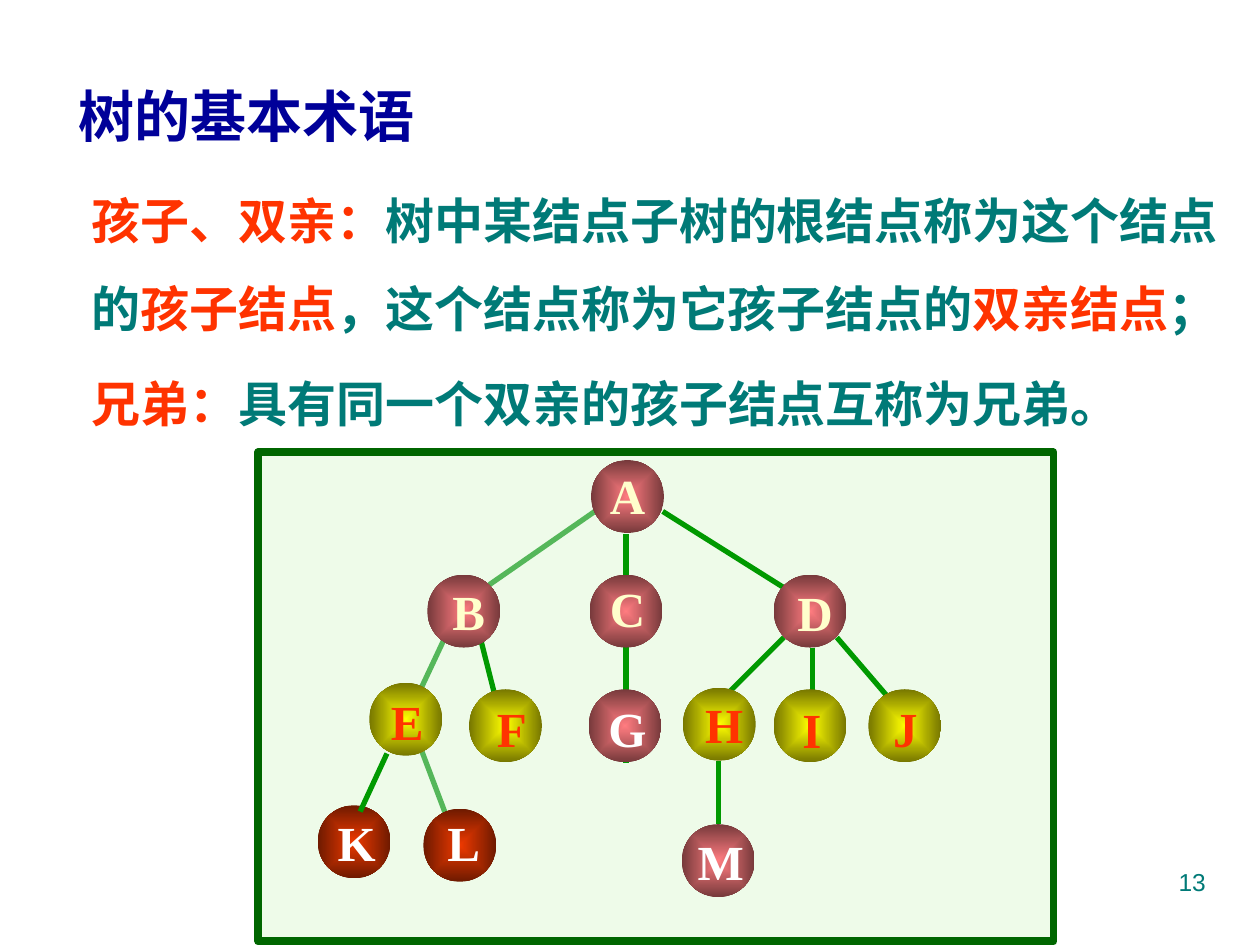
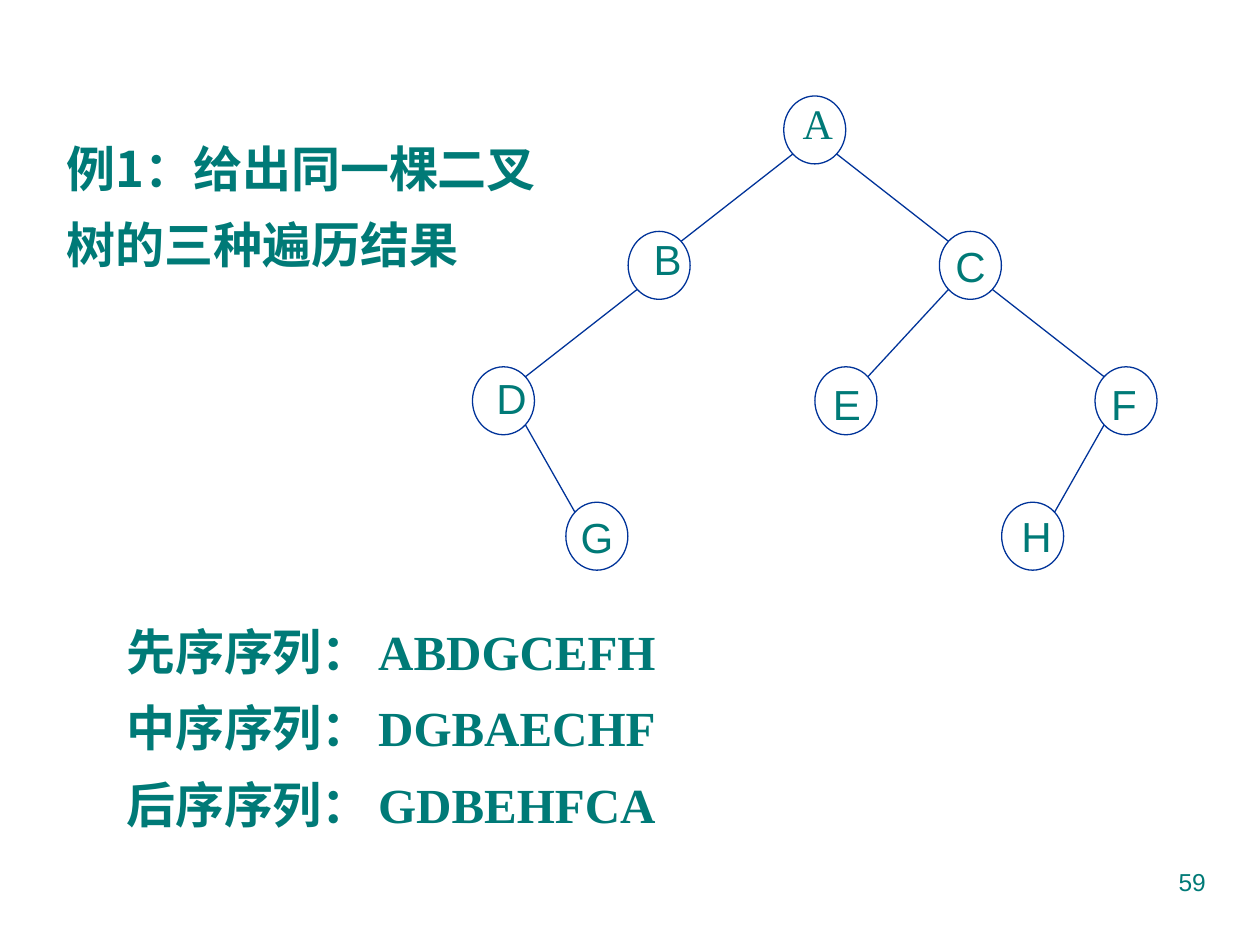
from dataclasses import dataclass
from math import sqrt
from typing import NamedTuple, Optional

import pptx
import pptx.dml.color
import pptx.enum.shapes
import pptx.enum.text
import pptx.oxml.ns
import pptx.util
from lxml import etree
from pptx.dml.color import RGBColor
from pptx.util import Cm

TEAL = RGBColor(0x00, 0x7A, 0x77)
RED = RGBColor(0xFF, 0x33, 0x00)
NAVY = RGBColor(0x00, 0x00, 0x99)
BLUE = RGBColor(0x00, 0x33, 0x99)
WHITE = RGBColor(0xFF, 0xFF, 0xFF)
CREAM = RGBColor(0xFF, 0xFF, 0xCC)
MINT = RGBColor(0xEE, 0xFB, 0xE9)
DARK_GREEN = RGBColor(0x00, 0x66, 0x00)
GREEN = RGBColor(0x00, 0x99, 0x00)
LIGHT_GREEN = RGBColor(0x55, 0xB7, 0x5A)
PINK = (RGBColor(0xFF, 0x7C, 0x80), RGBColor(0x76, 0x39, 0x3B))
YELLOW = (RGBColor(0xFF, 0xFF, 0x00), RGBColor(0x76, 0x76, 0x00))
RUST = (RGBColor(0xEE, 0x39, 0x00), RGBColor(0x6E, 0x1A, 0x00))

SANS = "Arial"
SERIF = "Times New Roman"
CHINESE = "Noto Sans CJK SC"

ALIGN = pptx.enum.text.PP_ALIGN
ANCHOR = pptx.enum.text.MSO_ANCHOR
SHAPE = pptx.enum.shapes.MSO_SHAPE


class Area(NamedTuple):
    left: float
    top: float
    width: float
    height: float

    def lengths(self) -> list:
        return [Cm(value) for value in self]


class Span(NamedTuple):
    text: str
    color: RGBColor = TEAL
    font: str = CHINESE


class Edge(NamedTuple):
    x1: float
    y1: float
    x2: float
    y2: float
    color: RGBColor = GREEN
    weight: float = 3


@dataclass(frozen=True)
class NodeStyle:
    width: float
    height: float
    size: int
    color: RGBColor
    font: str
    bold: bool = False
    gradient: Optional[tuple] = None


@dataclass(frozen=True)
class Node:
    name: str
    x: float
    y: float
    style: NodeStyle
    label_dx: float = 0
    label_dy: float = 0


def ball(gradient: tuple, color: RGBColor) -> NodeStyle:
    return NodeStyle(1.47, 1.47, 28, color, SERIF, True, gradient)


INNER = ball(PINK, CREAM)
PLAIN = ball(PINK, WHITE)
LEAF = ball(YELLOW, RED)
DEEP = ball(RUST, WHITE)
RING = NodeStyle(1.25, 1.37, 24, TEAL, SANS)
ROOT_RING = NodeStyle(1.25, 1.37, 24, TEAL, SERIF)

TERM_NODES = [
    Node("A", 12.65, 10.01, INNER, 0, -0.04),
    Node("B", 9.35, 12.32, INNER, 0.1, 0),
    Node("C", 12.62, 12.32, INNER, 0.03, -0.06),
    Node("D", 16.33, 12.32, INNER, 0.1, 0.01),
    Node("E", 8.18, 14.5, LEAF, 0.03, 0.04),
    Node("F", 10.19, 14.63, LEAF, 0.13, 0.04),
    Node("G", 12.6, 14.63, PLAIN, 0.05, 0.04),
    Node("H", 14.5, 14.6, LEAF, 0.1, 0),
    Node("I", 16.33, 14.63, LEAF, 0.04, 0.06),
    Node("J", 18.24, 14.63, LEAF, 0.01, 0.04),
    Node("K", 7.14, 16.97, DEEP, 0.05, 0),
    Node("L", 9.27, 17.04, DEEP, 0.08, -0.06),
    Node("M", 14.48, 17.35, PLAIN, 0.05, 0),
]
TERM_EDGES = [
    Edge(16.87, 12.85, 18.14, 14.33),
    Edge(15.8, 12.85, 14.53, 14.12),
    Edge(16.38, 13.06, 16.38, 14.12),
    Edge(14.48, 15.34, 14.48, 16.61),
    Edge(13.36, 10.31, 16.03, 11.99),
    Edge(11.99, 10.31, 9.86, 11.79, LIGHT_GREEN),
    Edge(12.62, 10.77, 12.62, 15.39),
    Edge(9.68, 12.85, 10.06, 14.35),
    Edge(8.51, 15.16, 8.99, 16.43, LIGHT_GREEN),
    Edge(8.97, 12.85, 8.43, 14.0, LIGHT_GREEN),
]
FRONT_EDGE = Edge(7.8, 15.19, 7.26, 16.36)


def grid_node(name: str, column: int, row: int, dx: float = 0, dy: float = 0,
              style: NodeStyle = RING) -> Node:
    return Node(name, 10.15 + column * 12.55 / 20, 2.62 + row * 2.73, style, dx, dy)


BINARY_NODES = [
    grid_node("A", 10, 0, 0.06, -0.15, ROOT_RING),
    grid_node("B", 5, 1, 0.17, -0.14),
    grid_node("C", 15, 1),
    grid_node("D", 0, 2, 0.16, -0.07),
    grid_node("E", 11, 2, 0.02, 0.05),
    grid_node("F", 20, 2, -0.04, 0.05),
    grid_node("G", 3, 3),
    grid_node("H", 17, 3, 0.08, -0.02),
]
BINARY_LINKS = ["AB", "AC", "BD", "CE", "CF", "DG", "FH"]


def format_span(span, size: float, color: RGBColor, font: str, bold: bool) -> None:
    span.font.size = pptx.util.Pt(size)
    span.font.bold = bold
    span.font.name = font
    span.font.color.rgb = color
    latin = span.font._element.find(pptx.oxml.ns.qn("a:latin"))
    east_asian = etree.Element(pptx.oxml.ns.qn("a:ea"), typeface=CHINESE)
    latin.addnext(east_asian)


def fill_placeholder(box, area: Area, lines: list[list[Span]], size: float,
                     line_spacing: float = 1, gap: float = 0,
                     tab: Optional[float] = None) -> None:
    box.left, box.top, box.width, box.height = area.lengths()
    frame = box.text_frame
    frame.word_wrap = True
    frame.auto_size = pptx.enum.text.MSO_AUTO_SIZE.NONE
    frame.vertical_anchor = ANCHOR.TOP
    for index, spans in enumerate(lines):
        para = frame.add_paragraph() if index else frame.paragraphs[0]
        para.alignment = ALIGN.LEFT
        para.line_spacing = line_spacing
        para.space_before = pptx.util.Pt(gap if index else 0)
        properties = para._p.get_or_add_pPr()
        properties.set("marL", "0")
        properties.set("indent", "0")
        etree.SubElement(properties, pptx.oxml.ns.qn("a:buNone"))
        if tab:
            tabs = etree.SubElement(properties, pptx.oxml.ns.qn("a:tabLst"))
            etree.SubElement(tabs, pptx.oxml.ns.qn("a:tab"), pos=str(Cm(tab)), algn="l")
        for text, color, font in spans:
            span = para.add_run()
            span.text = text
            format_span(span, size, color, font, True)


def add_label(page, area: Area, text: str, size: float, color: RGBColor, font: str,
              bold: bool, alignment, anchor) -> None:
    frame = page.shapes.add_textbox(*area.lengths()).text_frame
    frame.text = text
    frame.word_wrap = True
    frame.vertical_anchor = anchor
    para = frame.paragraphs[0]
    para.alignment = alignment
    format_span(para.runs[0], size, color, font, bold)


def add_page_number(page, number: int) -> None:
    add_label(page, Area(18.21, 17.35, 6.35, 1.32), str(number), 14, TEAL, SANS,
              False, ALIGN.RIGHT, ANCHOR.TOP)


def add_edge(page, edge: Edge) -> None:
    ends = [Cm(value) for value in edge[:4]]
    line = page.shapes.add_connector(pptx.enum.shapes.MSO_CONNECTOR.STRAIGHT, *ends)
    line.line.color.rgb = edge.color
    line.line.width = pptx.util.Pt(edge.weight)
    etree.SubElement(line._element.spPr, pptx.oxml.ns.qn("a:effectLst"))


def fill_from_centre(shape, colors: tuple) -> None:
    shape.fill.gradient()
    for stop, color in zip(shape.fill.gradient_stops, colors):
        stop.color.rgb = color
    linear = shape._element.spPr.find(".//" + pptx.oxml.ns.qn("a:lin"))
    centre = etree.Element(pptx.oxml.ns.qn("a:path"), path="rect")
    etree.SubElement(centre, pptx.oxml.ns.qn("a:fillToRect"),
                     {side: "50000" for side in "ltrb"})
    linear.getparent().replace(linear, centre)


def add_node(page, node: Node) -> None:
    style = node.style
    area = Area(node.x - style.width / 2, node.y - style.height / 2,
                style.width, style.height)
    circle = page.shapes.add_shape(SHAPE.OVAL, *area.lengths())
    circle.shadow.inherit = False
    if style.gradient:
        fill_from_centre(circle, style.gradient)
        circle.line.fill.background()
    else:
        circle.fill.background()
        circle.line.color.rgb = BLUE
        circle.line.width = pptx.util.Pt(0.75)
    label = area._replace(left=area.left + node.label_dx, top=area.top + node.label_dy)
    add_label(page, label, node.name, style.size, style.color, style.font, style.bold,
              ALIGN.CENTER, ANCHOR.MIDDLE)


def link(parent: Node, child: Node) -> Edge:
    dx = parent.style.width / 2 / sqrt(2)
    dy = parent.style.height / 2 / sqrt(2)
    if child.x < parent.x:
        dx = -dx
    return Edge(parent.x + dx, parent.y + dy, child.x - dx, child.y - dy, BLUE, 0.75)


def build_terms(deck) -> None:
    page = deck.slides.add_slide(deck.slide_layouts[1])
    title, body = page.placeholders
    fill_placeholder(title, Area(1.32, 1.52, 11, 1.63),
                     [[Span("树的基本术语", NAVY, SANS)]], 32)
    fill_placeholder(body, Area(1.6, 3.12, 23.57, 5.72), [
        [Span("孩子、双亲：", RED), Span("树中某结点子树的根结点称为这个结点的"),
         Span("孩子结点", RED), Span("，这个结点称为它孩子结点的"),
         Span("双亲结点", RED), Span("；")],
        [Span("兄弟：", RED), Span("具有同一个双亲的孩子结点互称为兄弟。")],
    ], 28, line_spacing=1.5, gap=3.5)
    panel = page.shapes.add_shape(SHAPE.RECTANGLE, *Area(5.21, 9.12, 16.03, 9.86).lengths())
    panel.shadow.inherit = False
    panel.fill.solid()
    panel.fill.fore_color.rgb = MINT
    panel.line.color.rgb = DARK_GREEN
    panel.line.width = pptx.util.Pt(4.5)
    for edge in TERM_EDGES:
        add_edge(page, edge)
    for node in TERM_NODES:
        add_node(page, node)
    add_edge(page, FRONT_EDGE)
    add_page_number(page, 13)


def build_traversals(deck) -> None:
    page = deck.slides.add_slide(deck.slide_layouts[1])
    title, body = page.placeholders
    fill_placeholder(title, Area(1.09, 2.31, 10.8, 3.35),
                     [[Span("例1："), Span("给出同一棵二叉树的三种遍历结果", font=SANS)]],
                     28, line_spacing=1.3)
    orders = {"先序序列：": "ABDGCEFH", "中序序列：": "DGBAECHF", "后序序列：": "GDBEHFCA"}
    fill_placeholder(body, Area(2.29, 12.04, 19.61, 4.88),
                     [[Span(f"{name}\t{order}", font=SERIF)]
                      for name, order in orders.items()],
                     28, line_spacing=1.3, tab=5.08)
    nodes = {node.name: node for node in BINARY_NODES}
    for node in BINARY_NODES:
        add_node(page, node)
    for parent, child in BINARY_LINKS:
        add_edge(page, link(nodes[parent], nodes[child]))
    add_page_number(page, 59)


def main() -> None:
    deck = pptx.Presentation()
    deck.slide_width, deck.slide_height = Cm(25.4), Cm(19.05)
    build_terms(deck)
    build_traversals(deck)
    deck.save("out.pptx")


if __name__ == "__main__":
    main()
